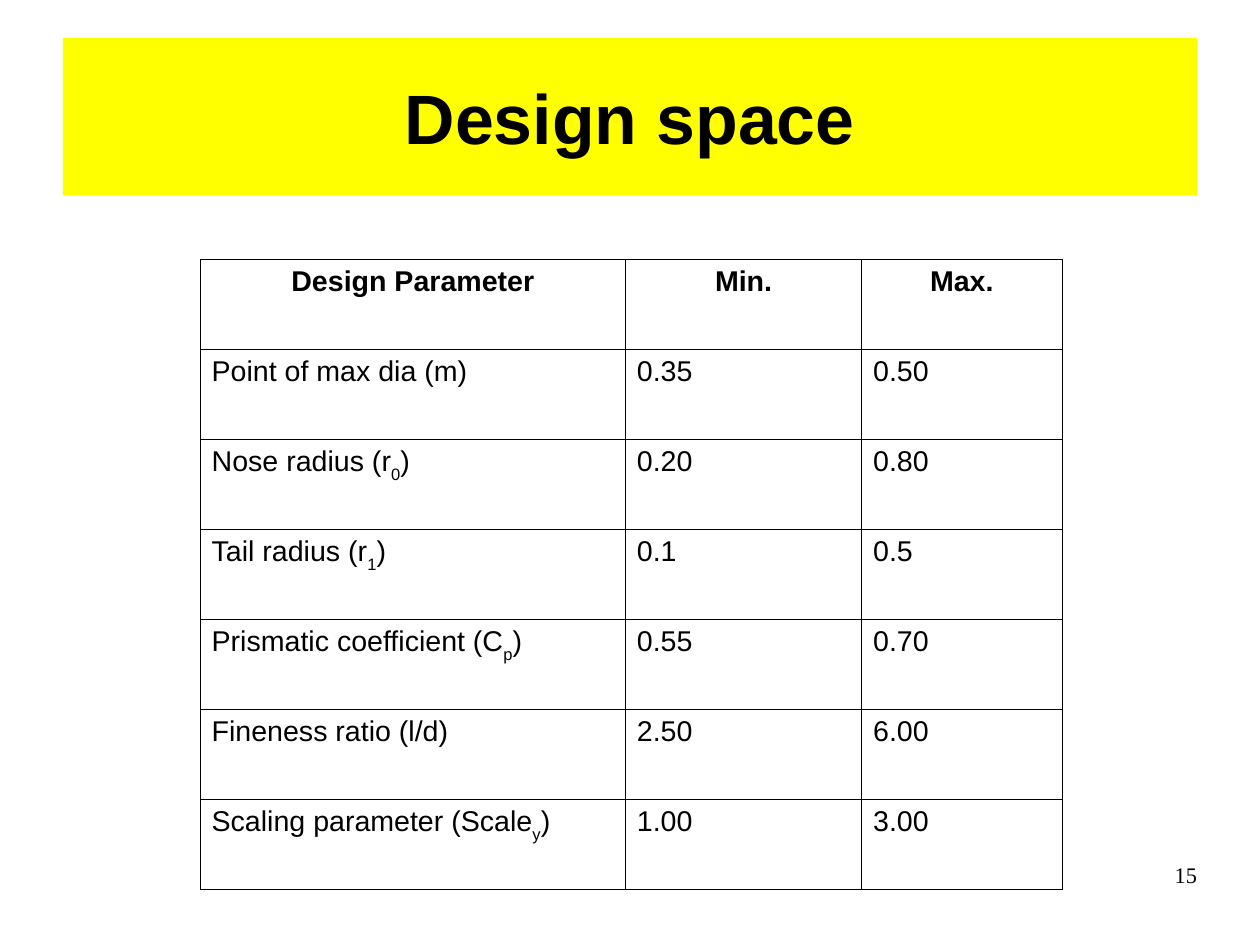
from lxml.etree import SubElement
from pptx import Presentation
from pptx.dml.color import RGBColor
from pptx.enum.text import MSO_ANCHOR, MSO_AUTO_SIZE, PP_ALIGN
from pptx.oxml.ns import qn
from pptx.util import Cm, Pt

BLACK = RGBColor(0x00, 0x00, 0x00)
YELLOW = RGBColor(0xFF, 0xFF, 0x00)

HEADINGS = ("Design Parameter", "Min.", "Max.")
# Each parameter is (text, subscript, closing text).
PARAMETERS = [
    (("Point of max dia (m)",), "0.35", "0.50"),
    (("Nose radius (r", "0", ")"), "0.20", "0.80"),
    (("Tail radius (r", "1", ")"), "0.1", "0.5"),
    (("Prismatic coefficient (C", "p", ")"), "0.55", "0.70"),
    (("Fineness ratio (l/d)",), "2.50", "6.00"),
    (("Scaling parameter (Scale", "y", ")"), "1.00", "3.00"),
]
COLUMN_WIDTHS = (Cm(9.45), Cm(5.25), Cm(4.45))
ROW_HEIGHT = Cm(2)


def write(paragraph, parts, size, font_name="Arial", bold=False, align=PP_ALIGN.LEFT):
    """Fill a paragraph with parts, of which every second one is a subscript."""
    paragraph.alignment = align
    font = paragraph.font
    font.name, font.size, font.bold = font_name, Pt(size), bold
    font.color.rgb = BLACK
    for index, part in enumerate(parts):
        run = paragraph.add_run()
        run.text = part
        if index % 2:
            run.font._element.set("baseline", "-33000")


def clear_margins(frame):
    frame.margin_left = frame.margin_right = frame.margin_top = frame.margin_bottom = 0
    frame.word_wrap = True


def add_heading(slide, left, top, width, height):
    heading = slide.shapes.title
    heading.left, heading.top, heading.width, heading.height = left, top, width, height
    heading.fill.solid()
    heading.fill.fore_color.rgb = YELLOW
    frame = heading.text_frame
    clear_margins(frame)
    frame.auto_size = MSO_AUTO_SIZE.NONE
    frame.vertical_anchor = MSO_ANCHOR.MIDDLE
    write(frame.paragraphs[0], ["Design space"], 44, bold=True, align=PP_ALIGN.CENTER)


def outline_cell(cell):
    properties = cell._tc.get_or_add_tcPr()
    for side in ("a:lnL", "a:lnR", "a:lnT", "a:lnB"):
        border = SubElement(properties, qn(side), w=str(Pt(0.57)))
        fill = SubElement(border, qn("a:solidFill"))
        SubElement(fill, qn("a:srgbClr"), val=str(BLACK))
    cell.fill.background()


def add_parameter_table(slide, left, top):
    rows = [tuple((heading,) for heading in HEADINGS)]
    rows += [(name, (low,), (high,)) for name, low, high in PARAMETERS]
    table = slide.shapes.add_table(
        len(rows), len(HEADINGS), left, top, sum(COLUMN_WIDTHS), ROW_HEIGHT * len(rows)
    ).table
    table.horz_banding = False
    table.first_row = False
    for column, width in zip(table.columns, COLUMN_WIDTHS):
        column.width = width
    for row_index, row in enumerate(rows):
        is_header = row_index == 0
        align = PP_ALIGN.CENTER if is_header else PP_ALIGN.LEFT
        for column_index, parts in enumerate(row):
            cell = table.cell(row_index, column_index)
            outline_cell(cell)
            write(cell.text_frame.paragraphs[0], parts, 18, bold=is_header, align=align)


def add_page_number(slide, left, top, width, height):
    frame = slide.shapes.add_textbox(left, top, width, height).text_frame
    clear_margins(frame)
    write(frame.paragraphs[0], ["15"], 14, "Times New Roman", align=PP_ALIGN.RIGHT)


def main():
    presentation = Presentation()
    presentation.slide_width = Cm(28)
    presentation.slide_height = Cm(21)
    slide = presentation.slides.add_slide(presentation.slide_layouts[5])
    add_heading(slide, Cm(1.4), Cm(0.84), Cm(25.2), Cm(3.5))
    add_parameter_table(slide, Cm(4.45), Cm(5.77))
    add_page_number(slide, Cm(20.07), Cm(19.13), Cm(6.53), Cm(1.45))
    presentation.save("out.pptx")


if __name__ == "__main__":
    main()
